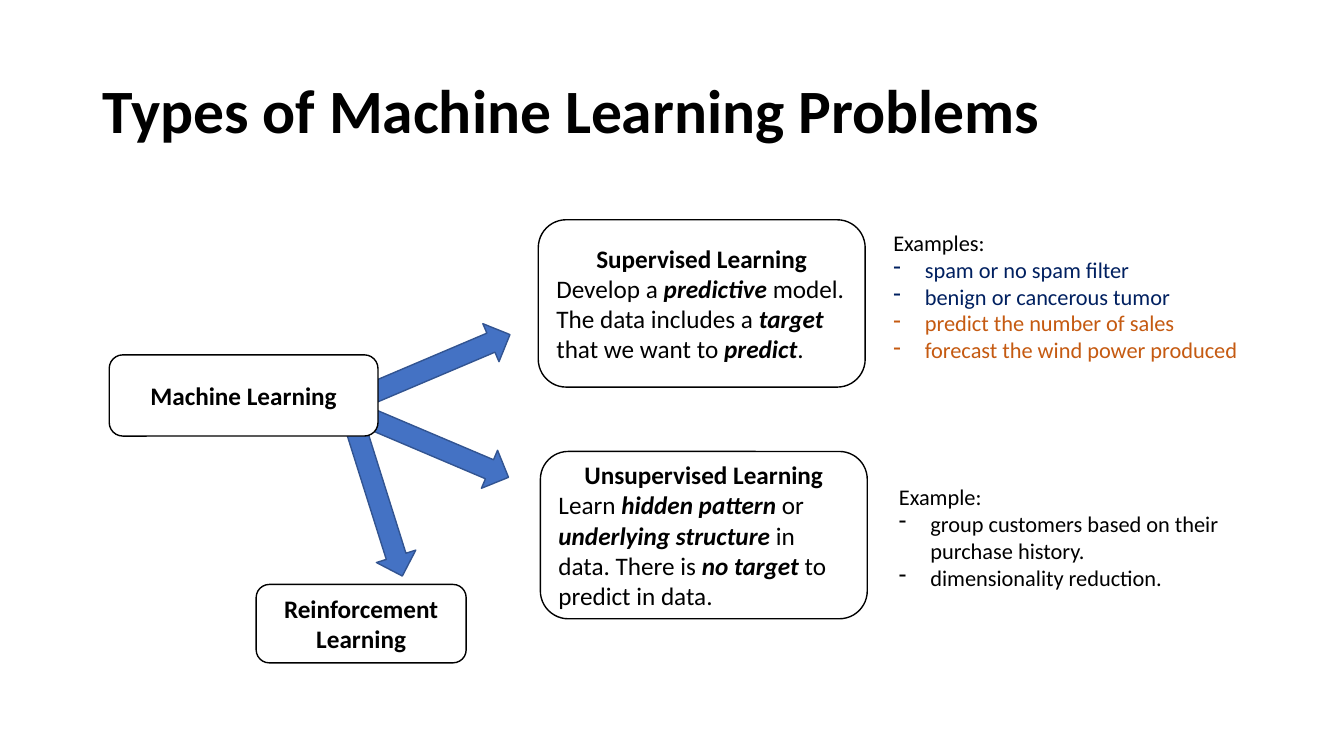
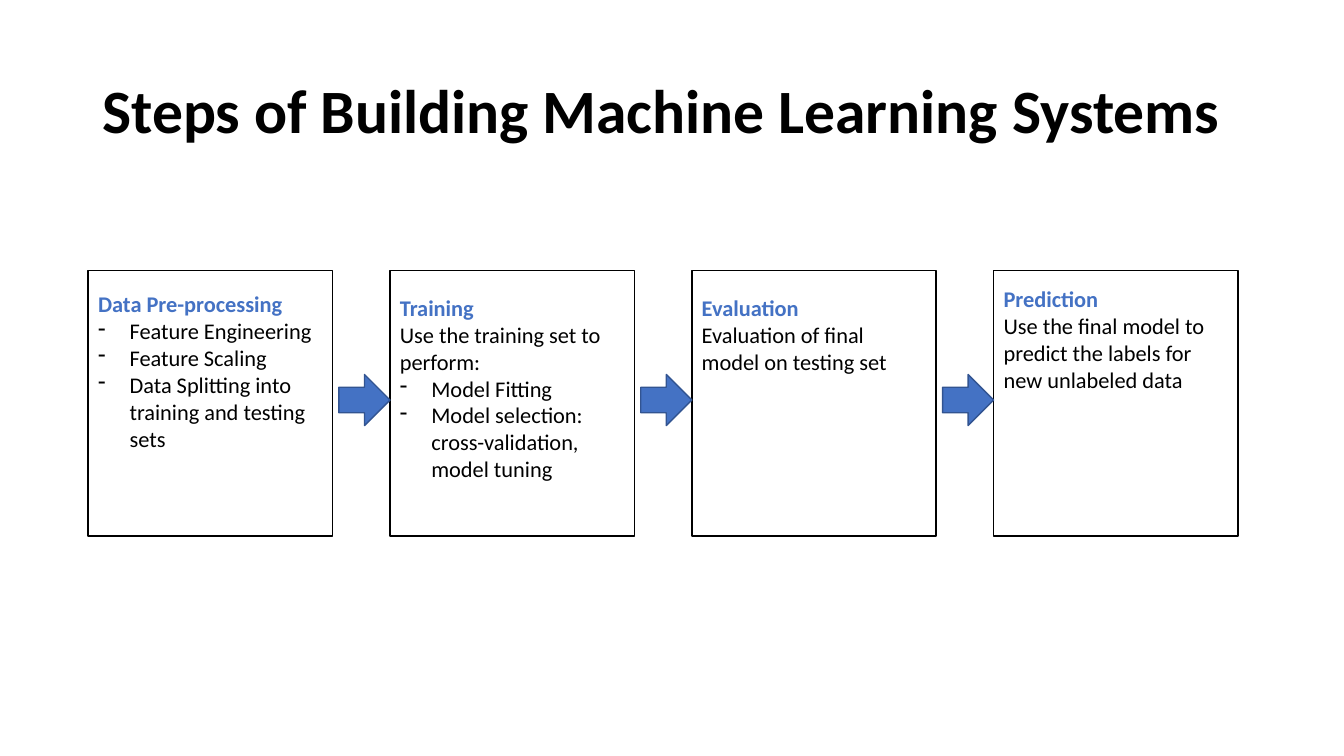
from lxml import etree
from pptx import Presentation
from pptx.dml.color import RGBColor
from pptx.enum import shapes, text
from pptx.oxml import ns
from pptx.util import Pt

BLACK = RGBColor(0x00, 0x00, 0x00)
WHITE = RGBColor(0xFF, 0xFF, 0xFF)
BLUE = RGBColor(0x44, 0x72, 0xC4)
ARROW_EDGE = RGBColor(0x32, 0x54, 0x91)
NAVY = RGBColor(0x00, 0x20, 0x60)
ORANGE = RGBColor(0xC5, 0x5A, 0x11)
FONT = "Calibri"
HANG = Pt(22.5)
LEFT, CENTER = text.PP_ALIGN.LEFT, text.PP_ALIGN.CENTER
SHAPE = shapes.MSO_SHAPE


def write(frame, words, size=16, color=BLACK, bold=False, align=LEFT, dash=False):
    """Add a paragraph; parts between asterisks become bold italic."""
    para = frame.paragraphs[0]
    if para.runs:
        para = frame.add_paragraph()
    para.alignment = align
    if dash:
        props = para._p.get_or_add_pPr()
        props.set("marL", str(HANG))
        props.set("indent", str(-HANG))
        etree.SubElement(props, ns.qn("a:buChar")).set("char", "-")
    for index, part in enumerate(words.split("*")):
        strong = index % 2 == 1
        span = para.add_run()
        span.text = part
        span.font.name = FONT
        span.font.size = Pt(size)
        span.font.color.rgb = color
        span.font.bold = bold or strong
        span.font.italic = strong
    return para


def add_shape(page, kind, place, fill=WHITE, edge=BLACK, turn=0):
    shape = page.shapes.add_shape(kind, *map(Pt, place))
    shape.shadow.inherit = False
    shape.fill.solid()
    shape.fill.fore_color.rgb = fill
    shape.line.color.rgb = edge
    shape.line.width = Pt(1)
    shape.rotation = turn
    shape.text_frame.word_wrap = True
    return shape


deck = Presentation()
deck.slide_width, deck.slide_height = Pt(960), Pt(540)

pages = []
for heading in ("Types of Machine Learning Problems",
                "Steps of Building Machine Learning Systems"):
    page = deck.slides.add_slide(deck.slide_layouts[5])
    title = page.shapes.title
    title.left, title.top, title.width, title.height = map(Pt, (66, 29, 828, 104))
    title.text_frame.auto_size = text.MSO_AUTO_SIZE.NONE
    title.text_frame.vertical_anchor = text.MSO_ANCHOR.MIDDLE
    write(title.text_frame, heading, size=44, bold=True).line_spacing = 0.9
    pages.append(page)
types_page, steps_page = pages

# Types of problems: arrows go first so that the boxes cover their tails
for left, top, turn in ((250, 247.5, 337), (249, 303, 23), (210, 340, 72.5)):
    add_shape(types_page, SHAPE.RIGHT_ARROW, (left, top, 119, 29.5),
              BLUE, ARROW_EDGE, turn)

type_boxes = [
    ((78, 253.5, 192, 58), "Machine Learning", None),
    ((183, 417.5, 150, 56), "Reinforcement Learning", None),
    ((384.5, 157, 233.5, 119.5), "Supervised Learning",
     "Develop a *predictive* model. The data includes a *target* "
     "that we want to *predict*."),
    ((386, 322.5, 233.5, 119.5), "Unsupervised Learning",
     "Learn *hidden pattern *or *underlying structure *in data. "
     "There is *no target *to predict in data."),
]
for place, name, description in type_boxes:
    frame = add_shape(types_page, SHAPE.ROUNDED_RECTANGLE, place).text_frame
    write(frame, name, size=18, bold=True, align=CENTER)
    if description:
        write(frame, description, size=18)

example_lists = [
    ((631, 160, 320, 104), "Examples:",
     [("spam or no spam filter", NAVY),
      ("benign or cancerous tumor", NAVY),
      ("predict the number of sales", ORANGE),
      ("forecast the wind power produced", ORANGE)]),
    ((635, 341.5, 259, 85), "Example:",
     [("group customers based on their purchase history.", BLACK),
      ("dimensionality reduction.", BLACK)]),
]
for place, label, examples in example_lists:
    frame = types_page.shapes.add_textbox(*map(Pt, place)).text_frame
    frame.word_wrap = True
    write(frame, label)
    for example, color in examples:
        write(frame, example, color=color, dash=True)

# Steps: equal boxes in a row, an arrow ending at each box after the first
STEP_LEFT, STEP_TOP, STEP_PITCH = 63, 193, 215.6
STEP_WIDTH, STEP_HEIGHT, ARROW_SIZE = 174.5, 190, 36.5

steps = [
    ("Data Pre-processing", 14.5, None,
     ["Feature Engineering", "Feature Scaling",
      "Data Splitting into training and testing sets"]),
    ("Training", 17, "Use the training set to perform:",
     ["Model Fitting", "Model selection: cross-validation, model tuning"]),
    ("Evaluation", 17, "Evaluation of final model on testing set", []),
    ("Prediction", 11,
     "Use the final model to predict the labels for new unlabeled data", []),
]
for index, (name, inset, description, tasks) in enumerate(steps):
    left = STEP_LEFT + index * STEP_PITCH
    box = add_shape(steps_page, SHAPE.RECTANGLE,
                    (left, STEP_TOP, STEP_WIDTH, STEP_HEIGHT))
    frame = box.text_frame
    frame.vertical_anchor = text.MSO_ANCHOR.TOP
    frame.margin_top = Pt(inset)
    write(frame, name, color=BLUE, bold=True)
    if description:
        write(frame, description)
    for task in tasks:
        write(frame, task, dash=True)
    if index:
        add_shape(steps_page, SHAPE.RIGHT_ARROW,
                  (left - ARROW_SIZE, 267.5, ARROW_SIZE, ARROW_SIZE),
                  BLUE, ARROW_EDGE)

deck.save("out.pptx")
